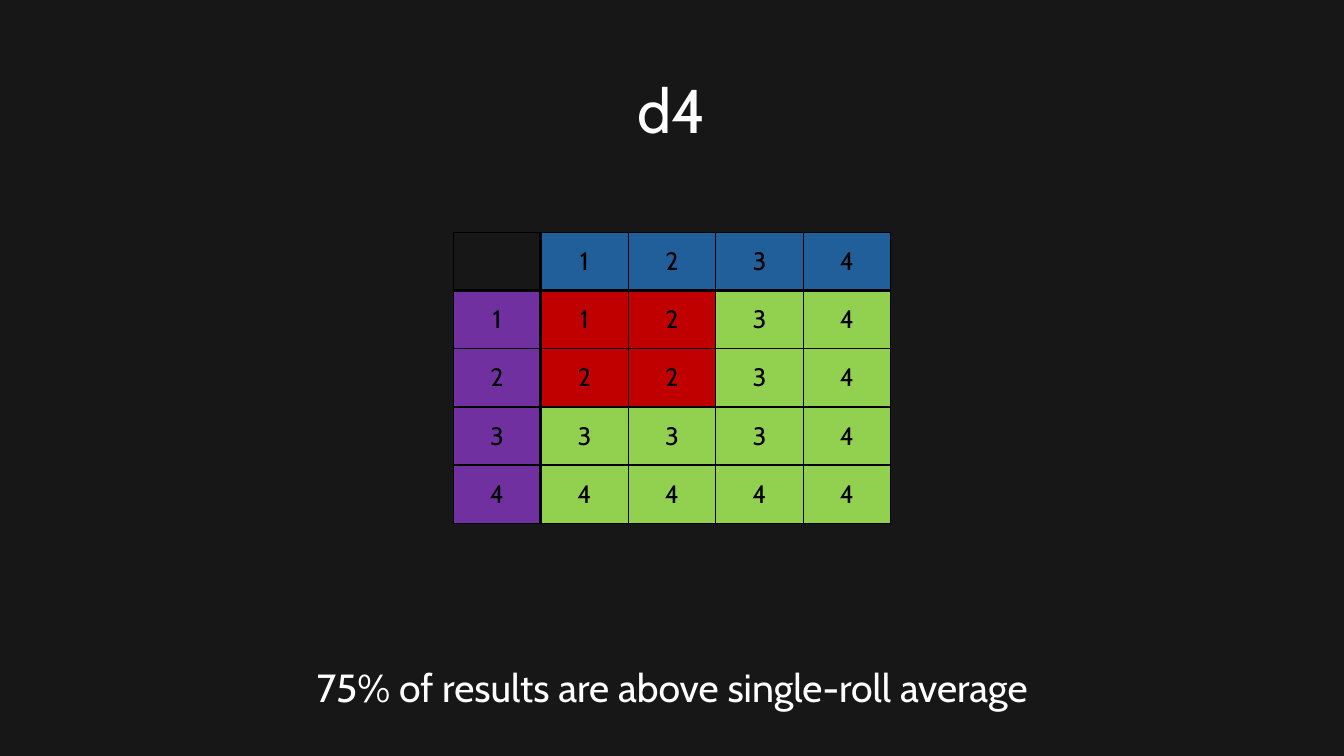
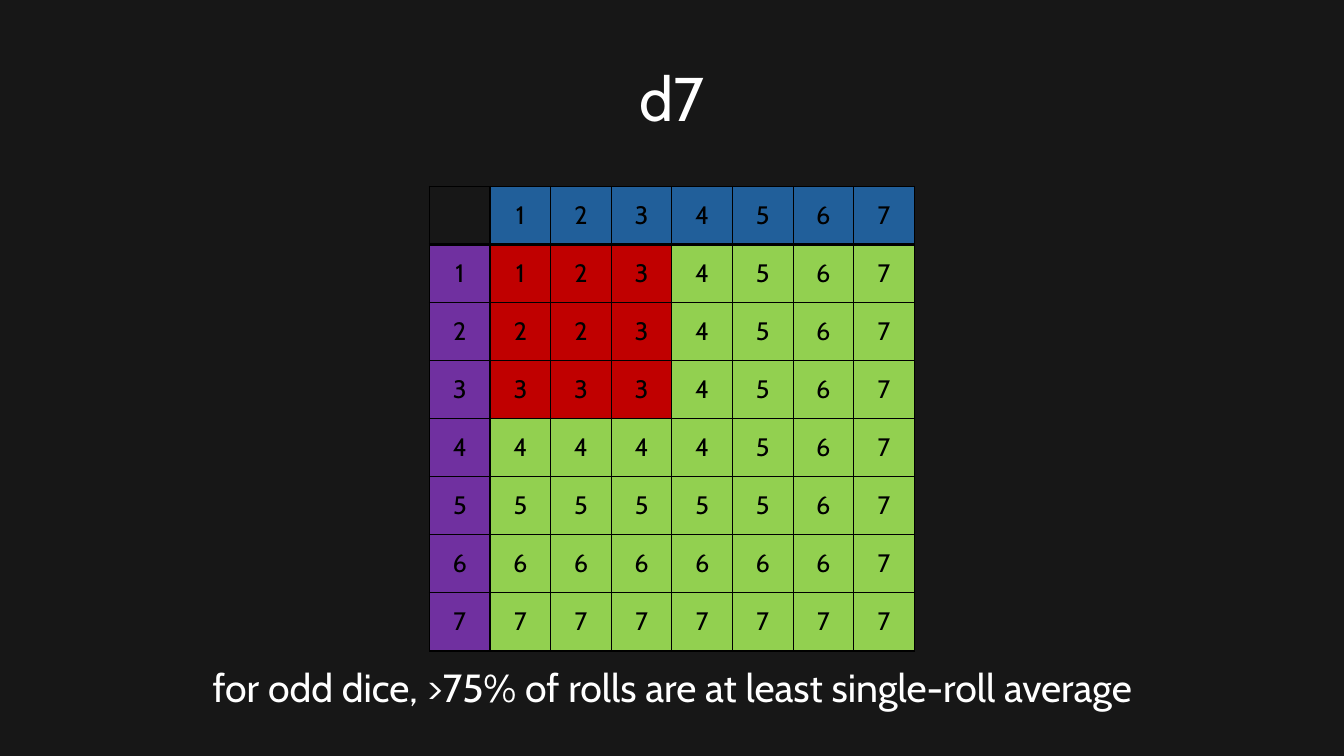
from pptx import Presentation
from pptx import util as u
from pptx.dml import color
from pptx.enum import text
from pptx.oxml import ns
from lxml import etree

COLORS = {
    "background": "171717",
    "light": "FFFFFF",
    "dark": "000000",
    "first_die": "215F9A",
    "second_die": "7030A0",
    "low": "C00000",
    "high": "92D050",
}
FONT = "Cabin"
SLIDE_WIDTH, SLIDE_HEIGHT = 960, 540
TITLE_HEIGHT = 104.4
ROW_HEIGHT = 41.5
THIN, THICK = 1, 2.25


def rgb(name):
    return color.RGBColor.from_string(COLORS[name])


def write(frame, words, size, color_name):
    para = frame.paragraphs[0]
    para.alignment = text.PP_ALIGN.CENTER
    span = para.add_run()
    span.text = words
    span.font.name = FONT
    span.font.size = u.Pt(size)
    span.font.color.rgb = rgb(color_name)
    return para


def add_text(page, words, top, width, height, size):
    left = (SLIDE_WIDTH - width) / 2
    box = page.shapes.add_textbox(u.Pt(left), u.Pt(top), u.Pt(width), u.Pt(height))
    frame = box.text_frame
    frame.word_wrap = True
    frame.vertical_anchor = text.MSO_ANCHOR.MIDDLE
    return write(frame, words, size, "light")


def set_borders(cell, row, column):
    widths = {
        "a:lnL": THICK if column == 1 else THIN,
        "a:lnR": THICK if column == 0 else THIN,
        "a:lnT": THICK if row == 1 else THIN,
        "a:lnB": THICK if row == 0 else THIN,
    }
    properties = cell._tc.get_or_add_tcPr()
    for tag, width in widths.items():
        line = etree.SubElement(properties, ns.qn(tag), w=str(u.Pt(width)))
        fill = etree.SubElement(line, ns.qn("a:solidFill"))
        etree.SubElement(fill, ns.qn("a:srgbClr"), val=COLORS["dark"])


def cell_color(row, column, sides):
    if row == column == 0:
        return "background"
    if row == 0:
        return "first_die"
    if column == 0:
        return "second_die"
    return "high" if max(row, column) > sides // 2 else "low"


def add_roll_table(page, sides, top, column_width):
    count = sides + 1
    width, height = count * column_width, count * ROW_HEIGHT
    left = (SLIDE_WIDTH - width) / 2
    table = page.shapes.add_table(
        count, count, u.Pt(left), u.Pt(top), u.Pt(width), u.Pt(height)
    ).table
    table.first_row = False
    table.horz_banding = False
    for index in range(count):
        table.columns[index].width = u.Pt(column_width)
        table.rows[index].height = u.Pt(ROW_HEIGHT)
    for row in range(count):
        for column in range(count):
            cell = table.cell(row, column)
            cell.vertical_anchor = text.MSO_ANCHOR.MIDDLE
            set_borders(cell, row, column)
            cell.fill.solid()
            cell.fill.fore_color.rgb = rgb(cell_color(row, column, sides))
            best = max(row, column)
            if best:
                write(cell.text_frame, str(best), 18, "dark")


def add_die_page(deck, sides, title_top, title_width, table_top, column_width, caption):
    page = deck.slides.add_slide(deck.slide_layouts[6])
    page.background.fill.solid()
    page.background.fill.fore_color.rgb = rgb("background")
    title = add_text(page, f"d{sides}", title_top, title_width, TITLE_HEIGHT, 44)
    title.line_spacing = 0.9
    add_roll_table(page, sides, table_top, column_width)
    add_text(page, caption, 470.2, 740, 41, 28)


def main():
    deck = Presentation()
    deck.slide_width = u.Pt(SLIDE_WIDTH)
    deck.slide_height = u.Pt(SLIDE_HEIGHT)
    add_die_page(deck, 4, 28.75, 828, 166.2, 62.5,
                 "75% of results are above single-roll average")
    add_die_page(deck, 7, 20.3, 346.4, 133, 43.3,
                 "for odd dice, >75% of rolls are at least single-roll average")
    deck.save("out.pptx")


if __name__ == "__main__":
    main()
